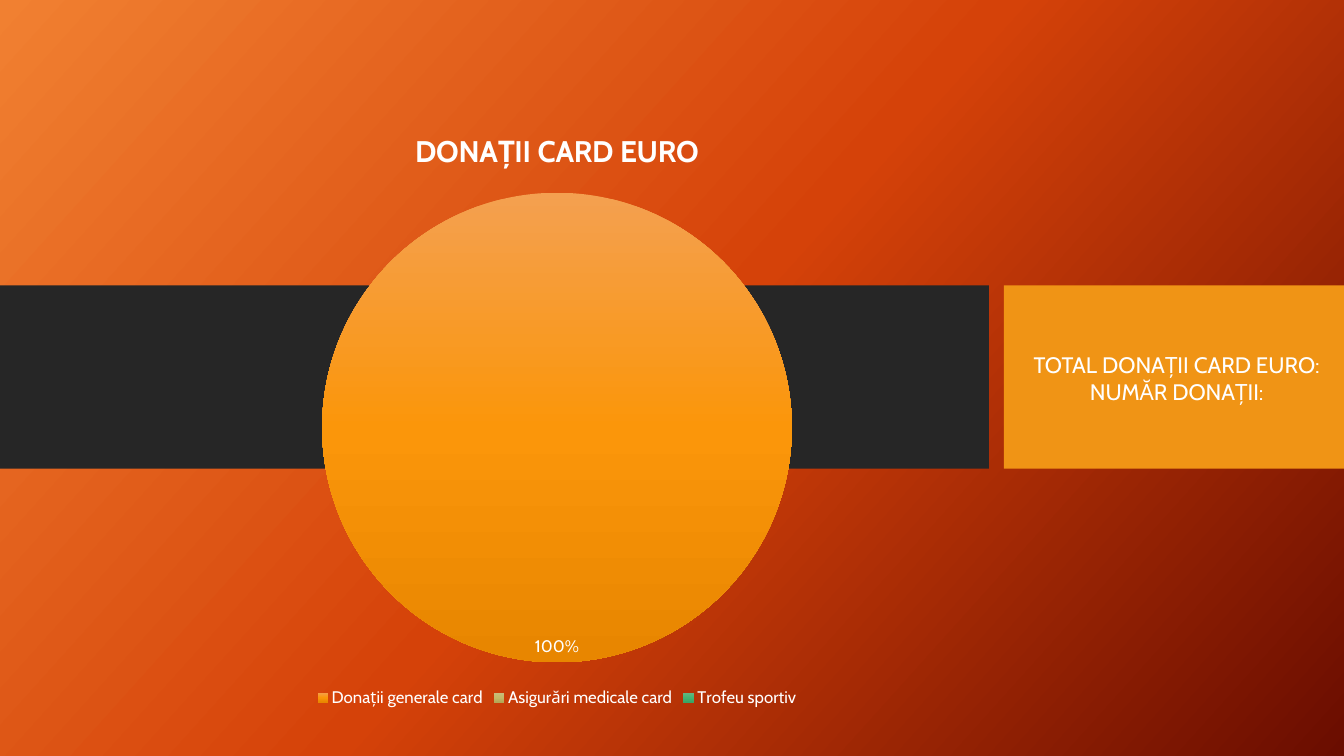
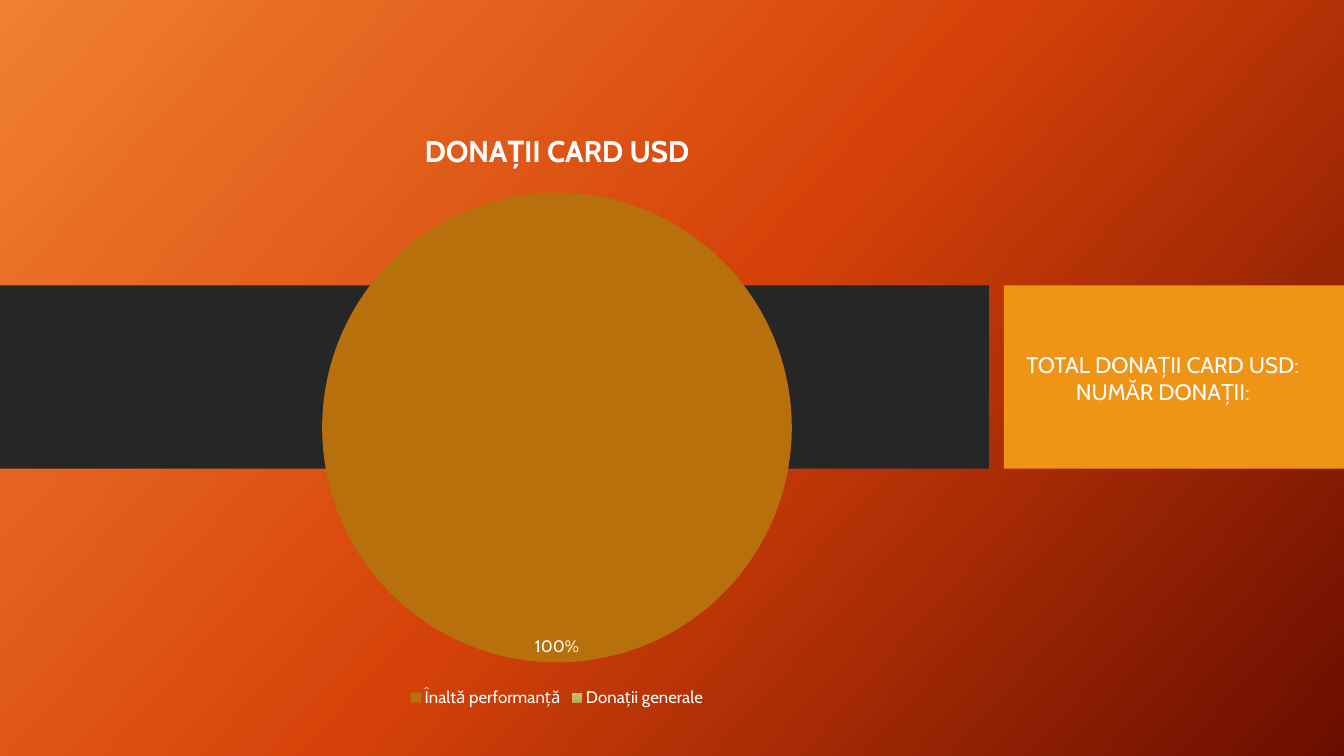
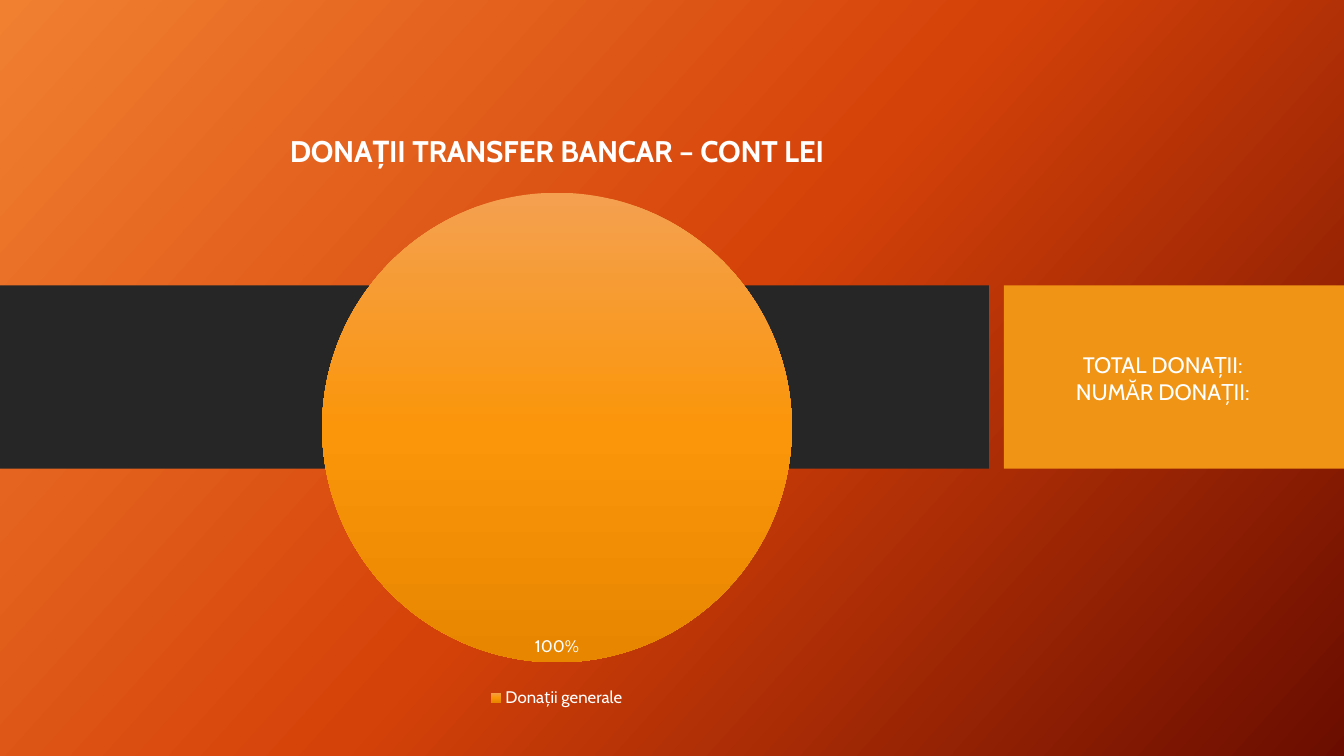
from dataclasses import dataclass

from lxml.etree import SubElement
from pptx import Presentation
from pptx.chart.data import CategoryChartData
from pptx.dml.color import RGBColor
from pptx.enum.chart import XL_CHART_TYPE, XL_LABEL_POSITION, XL_LEGEND_POSITION
from pptx.enum.shapes import MSO_SHAPE
from pptx.enum.text import PP_ALIGN
from pptx.oxml.ns import qn
from pptx.util import Pt


@dataclass(frozen=True)
class Theme:
    font: str = "Cabin"
    white: str = "FFFFFF"
    dark: str = "262626"
    accent: str = "F09415"
    backdrop: tuple = ("F18031", "D54209", "6A0D00")
    orange: tuple = ("F4A050", "FB960A", "E88600")
    olive: tuple = ("C8BE7F", "C5B867", "B4A756")
    green: tuple = ("67B884", "46B472", "3AA464")
    brown: str = "B8700C"
    title: float = 21.3
    total: float = 16
    label: float = 12
    base: float = 10


T = Theme()


def set_font(font, size, bold=False):
    formats = {"name": T.font, "size": Pt(size), "bold": bold}
    for name, value in formats.items():
        setattr(font, name, value)
    font.color.rgb = RGBColor.from_string(T.white)


def set_gradient(fill, root, colors, angle):
    """Spread colors evenly over the newest gradient under root."""
    fill.gradient()
    fill.gradient_angle = 360 - angle
    stops = list(root.iter(qn("a:gsLst")))[-1]
    for stop in list(stops):
        stops.remove(stop)
    for i, color in enumerate(colors):
        pos = 100000 * i // (len(colors) - 1)
        stop = SubElement(stops, qn("a:gs"), pos=str(pos))
        SubElement(stop, qn("a:srgbClr"), val=color)


# Slide content: chart title, series name, left of total, total, slices
SLIDES = [
    ("DONAȚII CARD EURO", "DONAȚII CARD EURO", 710.6, "TOTAL DONAȚII CARD EURO:",
     [("Donații generale card", 100, T.orange),
      ("Asigurări medicale card", None, T.olive),
      ("Trofeu sportiv", None, T.green)]),
    ("DONAȚII CARD USD", "Series 1", 700.6, "TOTAL DONAȚII CARD USD:",
     [("Înaltă performanță", 100, T.brown),
      ("Donații generale", None, T.olive)]),
    ("DONAȚII TRANSFER BANCAR – CONT LEI", "Series 1", 700.6, "TOTAL DONAȚII:",
     [("Donații generale", 100, T.orange)]),
]
BANDS = [(0, 706.3, T.dark), (717.1, 242.9, T.accent)]

prs = Presentation()
prs.slide_width, prs.slide_height = Pt(960), Pt(540)

# Shared background
master = prs.slide_master
set_gradient(master.background.fill, master.element, T.backdrop, 42)

for title, series_name, total_left, total, slices in SLIDES:
    s = prs.slides.add_slide(prs.slide_layouts[6])

    # Bands
    for left, width, color in BANDS:
        sp = s.shapes.add_shape(MSO_SHAPE.RECTANGLE, Pt(left), Pt(203.8), Pt(width), Pt(131))
        sp.shadow.inherit = False
        sp.fill.solid()
        sp.fill.fore_color.rgb = RGBColor.from_string(color)
        sp.line.fill.background()

    # Totals
    tf = s.shapes.add_textbox(Pt(total_left), Pt(247), Pt(260), Pt(46)).text_frame
    tf.word_wrap = True
    tf.text = f"{total}\nNUMĂR DONAȚII:"
    for p in tf.paragraphs:
        p.alignment = PP_ALIGN.CENTER
        set_font(p.runs[0].font, T.total)

    # Pie chart
    data = CategoryChartData()
    data.categories = [name for name, _, _ in slices]
    data.add_series(series_name, [value for _, value, _ in slices])
    chart = s.shapes.add_chart(XL_CHART_TYPE.PIE, Pt(-69.8), Pt(77), Pt(935.3), Pt(431.3),
                               data).chart
    set_font(chart.font, T.base)

    chart.has_title = True
    tf = chart.chart_title.text_frame
    tf.text = title
    set_font(tf.paragraphs[0].runs[0].font, T.title, bold=True)
    chart.chart_title.include_in_layout = False

    chart.has_legend = True
    chart.legend.position = XL_LEGEND_POSITION.BOTTOM
    chart.legend.include_in_layout = False
    set_font(chart.legend.font, T.label)

    plot = chart.plots[0]
    plot.vary_by_categories = True
    series = plot.series[0]

    # Slice colours
    for i, (_, _, color) in enumerate(slices):
        fmt = series.points[i].format
        if isinstance(color, str):
            fmt.fill.solid()
            fmt.fill.fore_color.rgb = RGBColor.from_string(color)
        else:
            set_gradient(fmt.fill, chart.element, color, 90)
        fmt.line.fill.background()

    # Percent labels
    plot.has_data_labels = True
    labels = plot.data_labels
    formats = {"show_percentage": True, "show_value": False, "number_format": "0%",
               "number_format_is_linked": False, "position": XL_LABEL_POSITION.INSIDE_END}
    for name, value in formats.items():
        setattr(labels, name, value)
    set_font(labels.font, T.label)

prs.save("out.pptx")
